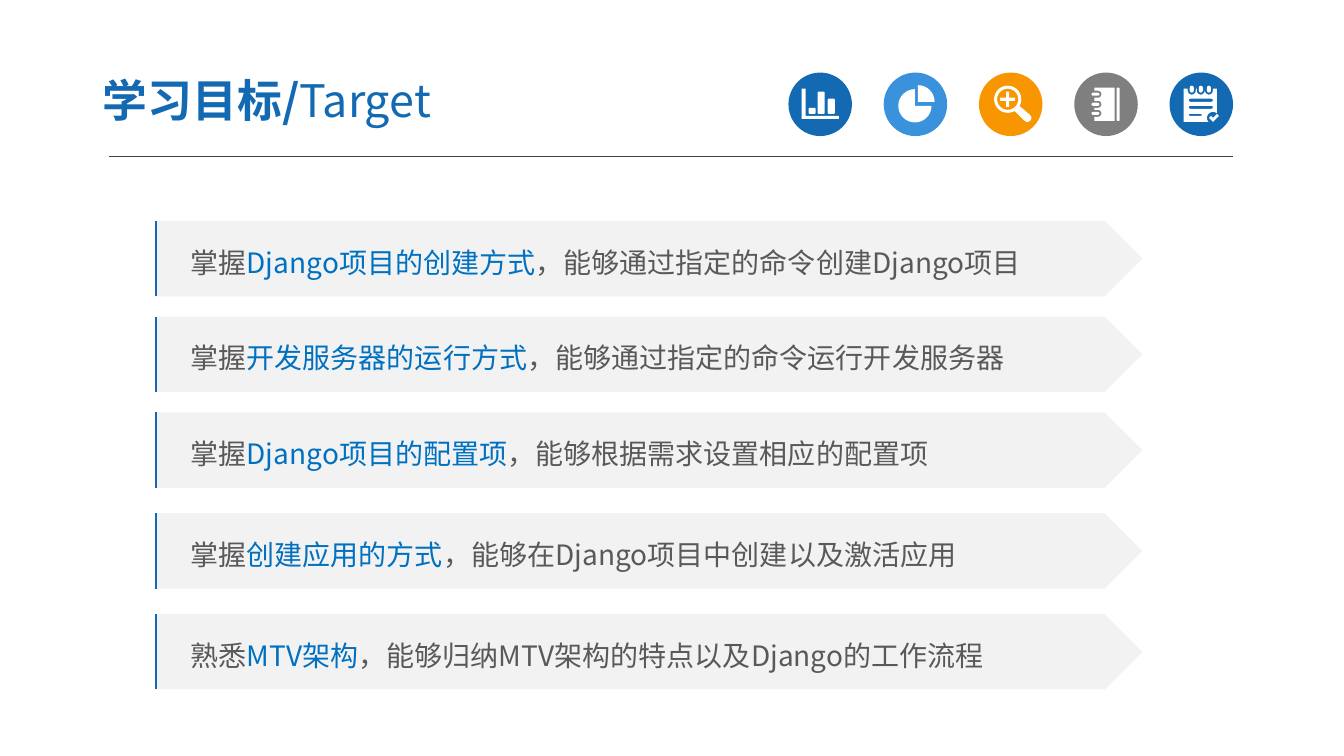
import math

from lxml import etree
from pptx import Presentation
from pptx.dml.color import RGBColor
from pptx.enum import shapes, text
from pptx.oxml import ns
from pptx.util import Inches, Pt

FONT = "Noto Sans CJK SC"
COLORS = {"blue": "1369B2", "sky": "3992DB", "orange": "F79600", "gray": "7F7F7F",
          "white": "FFFFFF", "rule": "404040", "band": "F2F2F2",
          "body": "595959", "key": "0070C0"}
TITLE = [("学习目标/", "blue", True), ("Target", "blue", False)]
GOALS = [
    (2.19, "掌握", "Django项目的创建方式", "，能够通过指定的命令创建Django项目"),
    (3.14, "掌握", "开发服务器的运行方式", "，能够通过指定的命令运行开发服务器"),
    (4.09, "掌握", "Django项目的配置项", "，能够根据需求设置相应的配置项"),
    (5.09, "掌握", "创建应用的方式", "，能够在Django项目中创建以及激活应用"),
    (6.09, "熟悉", "MTV架构", "，能够归纳MTV架构的特点以及Django的工作流程"),
]
BAND_X, BAND_W, BAND_H, ACCENT_W = 1.55, 9.78, 0.75, 0.11
ICON_X, ICON_Y, ICON_STEP, ICON_D = 7.82, 0.72, 0.945, 0.63
MSO = shapes.MSO_SHAPE

AXES = [(0.13, 0.16), (0.17, 0.16), (0.17, 0.43), (0.5, 0.43), (0.5, 0.46), (0.13, 0.46)]
BARS = [(0.2, 0.35, 0.07, 0.06), (0.29, 0.19, 0.07, 0.22), (0.39, 0.26, 0.07, 0.15)]
RING_Y = (0.18, 0.28, 0.37)
RING_X = (0.18, 0.27, 0.35)
NOTE_LINES = [(0.19, 0.26, 0.24, 0.03), (0.19, 0.33, 0.24, 0.03), (0.19, 0.41, 0.13, 0.02)]
CHECK = [(0.39, 0.45), (0.41, 0.43), (0.43, 0.45), (0.47, 0.41), (0.49, 0.43), (0.43, 0.49)]


def arc(cx, cy, r, start, end, steps):
    angles = [math.radians(start + (end - start) * i / steps) for i in range(steps + 1)]
    return [(cx + r * math.cos(a), cy + r * math.sin(a)) for a in angles]


def rounded(x, y, w, h, r):
    corners = [(x + w - r, y + h - r), (x + r, y + h - r), (x + r, y + r), (x + w - r, y + r)]
    return [pt for i, (cx, cy) in enumerate(corners)
            for pt in arc(cx, cy, r, 90 * i, 90 * i + 90, 2)]


def pill(x, y, w, h):
    return rounded(x, y, w, h, min(w, h) / 2)


def chart_icon():
    return [AXES] + [rounded(*bar, 0.01) for bar in BARS]


def pie_icon():
    return [[(0.31, 0.33)] + arc(0.31, 0.33, 0.165, 0, 270, 24),
            [(0.34, 0.29)] + arc(0.34, 0.29, 0.165, -90, 0, 8)]


def zoom_icon():
    cx, cy, arm, half = 0.285, 0.265, 0.075, 0.015
    outline = arc(cx, cy, 0.135, 60, 390, 24) + arc(0.48, 0.45, 0.04, -45, 135, 6)
    quarter = [(arm, -half), (arm, half), (half, half)]
    plus = []
    for _ in range(4):
        plus += [(cx + dx, cy + dy) for dx, dy in quarter]
        quarter = [(-dy, dx) for dx, dy in quarter]
    return [outline, arc(cx, cy, 0.105, 0, 345, 23), plus]


def notebook_icon():
    cover = [(0.4, 0.15), (0.4, 0.48), (0.2, 0.48)]
    for y in reversed(RING_Y):
        cover += [(0.2, y + 0.07)] + arc(0.235, y + 0.035, 0.035, 90, -90, 6) + [(0.2, y)]
    return ([cover + [(0.2, 0.15)], rounded(0.42, 0.15, 0.03, 0.33, 0.01)]
            + [pill(0.17, y + 0.02, 0.08, 0.03) for y in RING_Y])


def notepad_icon():
    sheet = [(0.14, 0.16)]
    for x in RING_X:
        sheet += [(x, 0.16)] + arc(x + 0.04, 0.18, 0.04, 180, 0, 6) + [(x + 0.08, 0.16)]
    sheet += [(0.47, 0.16)] + arc(0.43, 0.45, 0.06, -50, -220, 8) + [(0.14, 0.49)]
    return ([sheet, CHECK] + [pill(*line) for line in NOTE_LINES]
            + [pill(x + 0.02, 0.13, 0.04, 0.07) for x in RING_X])


ICONS = [("blue", chart_icon), ("sky", pie_icon), ("orange", zoom_icon),
         ("gray", notebook_icon), ("blue", notepad_icon)]


def rgb(name):
    return RGBColor.from_string(COLORS[name])


def paint(sp, color):
    sp.shadow.inherit = False
    sp.fill.solid()
    sp.fill.fore_color.rgb = rgb(color)
    sp.line.fill.background()


def add_solid(s, kind, box, color):
    sp = s.shapes.add_shape(kind, *map(Inches, box))
    paint(sp, color)
    return sp


def write(sp, runs, size, spacing=None):
    tf = sp.text_frame
    tf.word_wrap = True
    tf.vertical_anchor = text.MSO_ANCHOR.MIDDLE
    p = tf.paragraphs[0]
    p.alignment = text.PP_ALIGN.LEFT
    p.line_spacing = spacing
    for words, color, bold in runs:
        r = p.add_run()
        r.text = words
        r.font.size = Pt(size)
        r.font.bold = bold
        r.font.color.rgb = rgb(color)
        r.font.name = FONT
        etree.SubElement(r.font._element, ns.qn("a:ea")).set("typeface", FONT)
    return tf


def add_icon(s, x, color, outlines):
    add_solid(s, MSO.OVAL, (x, ICON_Y, ICON_D, ICON_D), color)
    paths = [[(Inches(x + dx), Inches(ICON_Y + dy)) for dx, dy in pts] for pts in outlines]
    fb = s.shapes.build_freeform(*paths[0][0])
    for i, pts in enumerate(paths):
        if i:
            fb.move_to(*pts[0])
        fb.add_line_segments(pts[1:], close=True)
    paint(fb.convert_to_shape(), "white")


def add_goal(s, top, lead, key, rest):
    sp = add_solid(s, MSO.PENTAGON, (BAND_X, top, BAND_W, BAND_H), "band")
    tf = write(sp, [(lead, "body", False), (key, "key", False), (rest, "body", False)], 20, 1.2)
    tf.margin_left = Inches(0.34)
    left, right, high, low = map(Inches, (BAND_X, BAND_X + ACCENT_W, top, top + BAND_H))
    fb = s.shapes.build_freeform(left, low)
    fb.add_line_segments([(left, high)], close=False)
    fb.move_to(right, high)
    accent = fb.convert_to_shape()
    accent.shadow.inherit = False
    accent.fill.background()
    accent.line.color.rgb = rgb("blue")
    accent.line.width = Pt(1.5)


def add_rule(s):
    ln = s.shapes.add_connector(shapes.MSO_CONNECTOR.STRAIGHT,
                                *map(Inches, (1.08, 1.55, 12.23, 1.55)))
    ln.line.color.rgb = rgb("rule")
    ln.line.width = Pt(0.75)
    etree.SubElement(ln._element.spPr, ns.qn("a:effectLst"))


def main():
    """Build the learning targets slide."""
    prs = Presentation()
    prs.slide_width, prs.slide_height = Inches(13.33), Inches(7.5)
    s = prs.slides.add_slide(prs.slide_layouts[6])
    add_rule(s)
    for i, (color, icon) in enumerate(ICONS):
        add_icon(s, ICON_X + i * ICON_STEP, color, icon())
    title = s.shapes.add_textbox(*map(Inches, (0.89, 0.63, 5.22, 0.72)))
    tf = write(title, TITLE, 32)
    tf.margin_left = tf.margin_right = Inches(0.13)
    tf.margin_top = tf.margin_bottom = Inches(0.07)
    for goal in GOALS:
        add_goal(s, *goal)
    prs.save("out.pptx")


if __name__ == "__main__":
    main()
